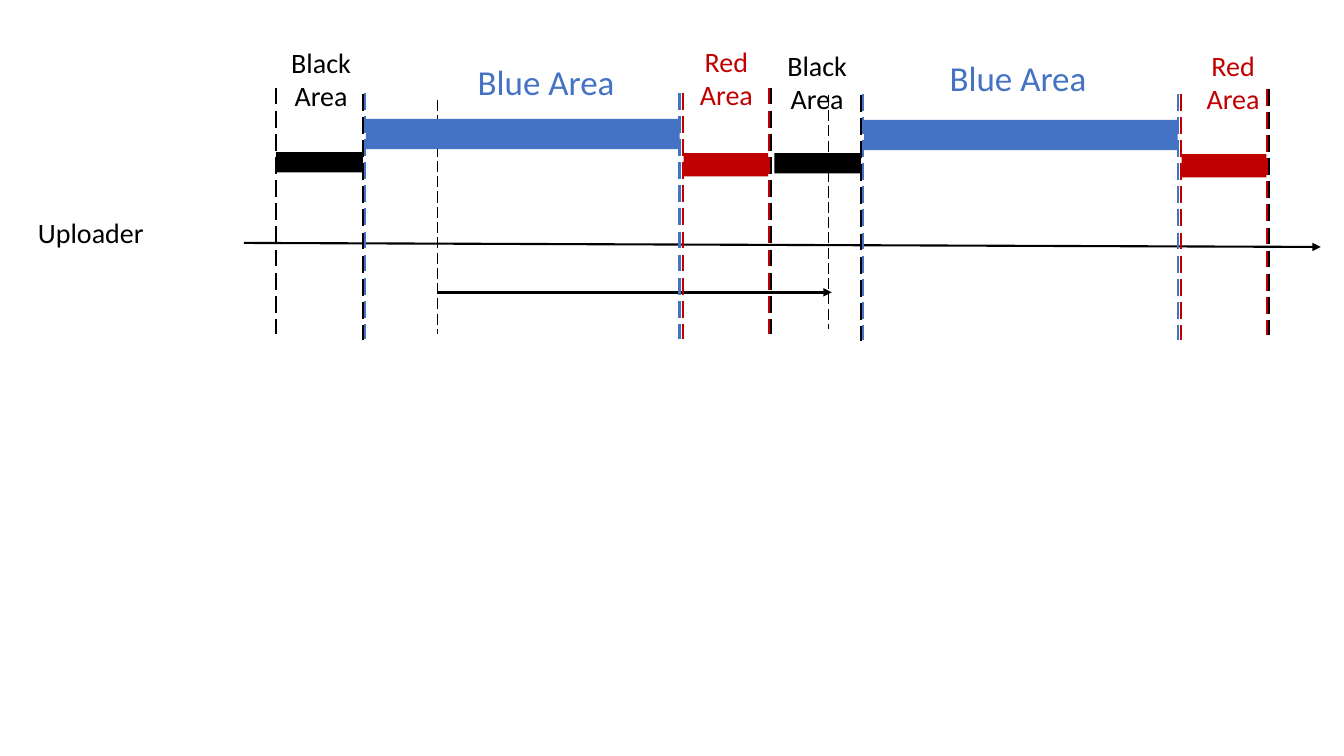
from dataclasses import dataclass

from lxml import etree
from pptx import Presentation
from pptx.dml.color import RGBColor
from pptx.enum.dml import MSO_LINE
from pptx.enum.shapes import MSO_CONNECTOR, MSO_SHAPE
from pptx.enum.text import MSO_AUTO_SIZE, PP_ALIGN
from pptx.oxml.ns import qn
from pptx.util import Inches, Pt

RECT = MSO_SHAPE.RECTANGLE
STRAIGHT = MSO_CONNECTOR.STRAIGHT
DASH = MSO_LINE.LONG_DASH
GROW = MSO_AUTO_SIZE.SHAPE_TO_FIT_TEXT
LEFT, CENTER = PP_ALIGN.LEFT, PP_ALIGN.CENTER

WIDTH, HEIGHT = Inches(13.33), Inches(7.5)
COLS, ROWS = 133.3, 75
COLORS = {"black": "000000", "blue": "4472C4", "red": "C00000"}
FONT = "Calibri"


@dataclass
class Rule:
    x: float
    y: float
    end_x: float
    end_y: float
    color: str = "black"
    weight: float = 1.5
    arrow: bool = False


@dataclass
class Bar:
    x: float
    y: float
    wide: float
    high: float
    color: str


@dataclass
class Label:
    text: str
    x: float
    y: float
    wide: float
    high: float
    color: str = "black"
    size: int = 20
    align: PP_ALIGN = CENTER


SHIFT, DROP = 49.4, 0.1
TALL, SHORT = 24.4, 23.2
MARKS = [
    (76.5, 8.7, "black"),
    (36.2, 9.2, "blue"),
    (67.7, 9.2, "red"),
    (67.4, 9.2, "blue"),
    (76.3, 8.7, "red"),
    (36, 9.3, "black"),
]
BARS = [
    Bar(27.4, 15.1, 8.6, 2, "black"),
    Bar(36.3, 11.8, 31.1, 3, "blue"),
    Bar(67.8, 15.2, 8.4, 2.3, "red"),
]
BASE = [
    Rule(43.4, 29, 82.5, 29, weight=2, arrow=True),
    Rule(43.4, 9.9, 43.4, 9.9 + SHORT, weight=1),
    Rule(24.2, 24.1, 131, 24.5, arrow=True),
    Rule(27.4, 8.7, 27.4, 8.7 + TALL),
    Rule(82.2, 9.4, 82.2, 9.4 + SHORT, weight=1),
]
LABELS = [
    Label("Uploader", 2.4, 20.9, 13.2, 4.4),
    Label("Black Area", 27.5, 4, 8.7, 10.1),
    Label("Blue Area", 46.4, 5.5, 17, 6.8, "blue", 25, LEFT),
    Label("Red Area", 68.2, 3.9, 7.7, 10.1, "red"),
    Label("Black Area", 76.5, 4.3, 9.1, 10.1),
    Label("Blue Area", 93.2, 5.1, 17.1, 5.9, "blue", 25, LEFT),
    Label("Red Area", 118.4, 4.3, 7.8, 8.7, "red"),
]


def col(n: float) -> int:
    return round(WIDTH * n / COLS)


def row(n: float) -> int:
    return round(HEIGHT * n / ROWS)


def tint(name: str) -> RGBColor:
    return RGBColor.from_string(COLORS[name])


def draw_rule(shapes, rule: Rule) -> None:
    link = shapes.add_connector(
        STRAIGHT, col(rule.x), row(rule.y), col(rule.end_x), row(rule.end_y)
    )
    link.line.color.rgb = tint(rule.color)
    link.line.width = Pt(rule.weight)
    if rule.arrow:
        tip = etree.SubElement(link.line._get_or_add_ln(), qn("a:tailEnd"))
        tip.set("type", "triangle")
    else:
        link.line.dash_style = DASH
    etree.SubElement(link._element.spPr, qn("a:effectLst"))


def draw_bar(shapes, bar: Bar, step: int) -> None:
    block = shapes.add_shape(
        RECT,
        col(bar.x + step * SHIFT),
        row(bar.y + step * DROP),
        col(bar.wide),
        row(bar.high),
    )
    block.shadow.inherit = False
    block.fill.solid()
    block.fill.fore_color.rgb = tint(bar.color)
    block.line.fill.background()


def draw_label(shapes, label: Label) -> None:
    box = shapes.add_textbox(
        col(label.x), row(label.y), col(label.wide), row(label.high)
    )
    frame = box.text_frame
    frame.word_wrap = True
    frame.auto_size = GROW
    para = frame.paragraphs[0]
    para.alignment = label.align
    run = para.add_run()
    run.text = label.text
    run.font.name = FONT
    run.font.size = Pt(label.size)
    run.font.color.rgb = tint(label.color)


def draw_cycle(shapes, step: int) -> None:
    for x, y, color in MARKS:
        left, top = x + step * SHIFT, y + step * DROP
        draw_rule(shapes, Rule(left, top, left, top + TALL, color))
    for bar in BARS:
        draw_bar(shapes, bar, step)


def main() -> None:
    deck = Presentation()
    deck.slide_width, deck.slide_height = WIDTH, HEIGHT
    shapes = deck.slides.add_slide(deck.slide_layouts[6]).shapes
    for rule in BASE:
        draw_rule(shapes, rule)
    for step in range(2):
        draw_cycle(shapes, step)
    for label in LABELS:
        draw_label(shapes, label)
    deck.save("out.pptx")


if __name__ == "__main__":
    main()
